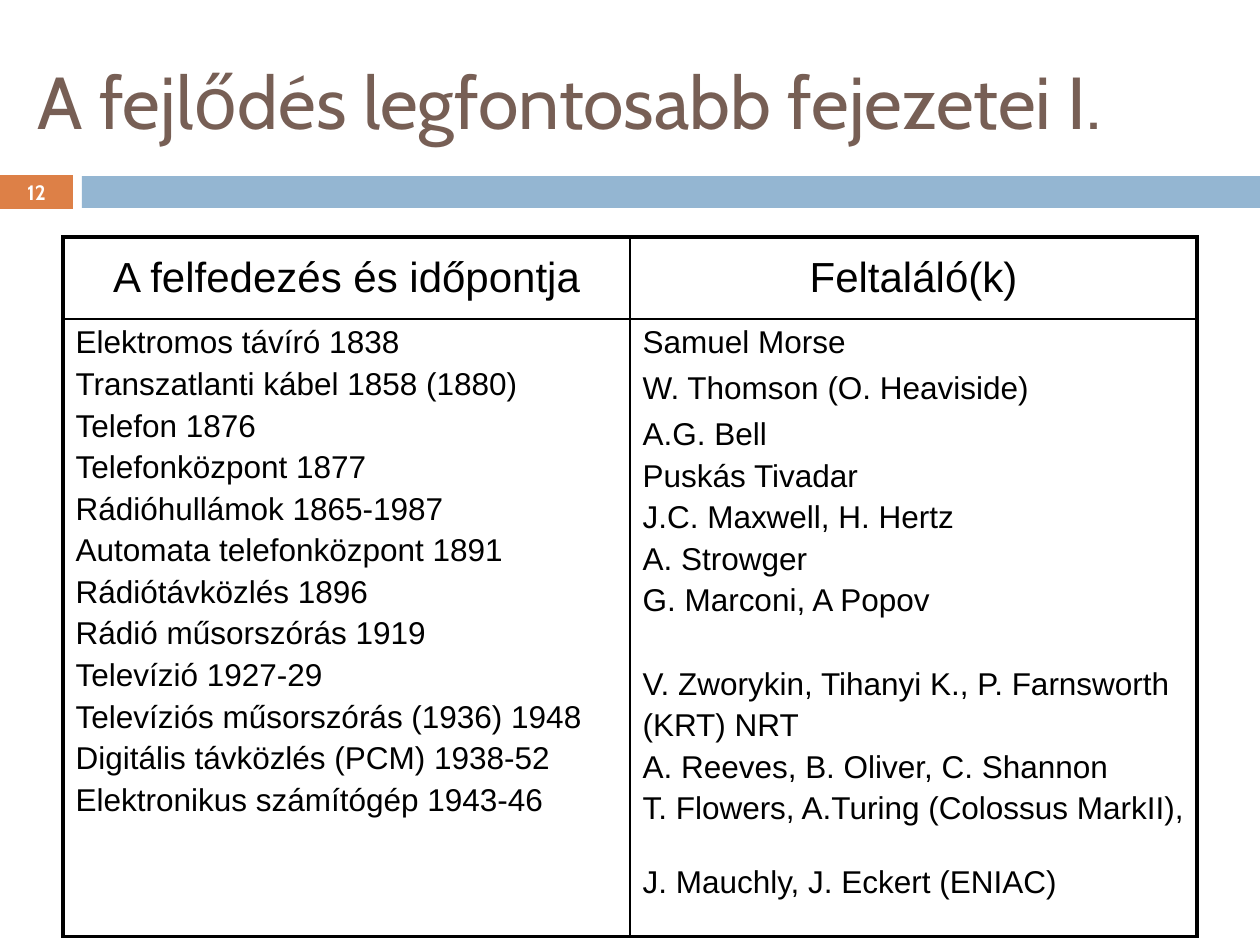
from dataclasses import dataclass

from lxml.etree import SubElement
from pptx import Presentation
from pptx.dml.color import RGBColor
from pptx.enum.shapes import MSO_SHAPE
from pptx.enum.text import MSO_ANCHOR, PP_ALIGN
from pptx.oxml.ns import qn
from pptx.util import Emu, Pt

EMU_PER_PX = 914400 / 126


@dataclass(frozen=True)
class Theme:
    title: str = "775F55"
    accent: str = "DD8047"
    band: str = "94B6D2"
    ink: str = "000000"
    white: str = "FFFFFF"
    heading_font: str = "Cabin"
    body_font: str = "Arial"
    title_size: float = 42
    number_size: float = 11.9
    header_size: float = 24
    body_size: float = 18
    outer_line: float = 2.25
    inner_line: float = 1


@dataclass(frozen=True)
class Box:
    left: int
    top: int
    width: int
    height: int

    def emu(self):
        return [px(v) for v in (self.left, self.top, self.width, self.height)]


@dataclass(frozen=True)
class TextStyle:
    font: str
    size: float
    color: str
    bold: bool = False
    align: PP_ALIGN = PP_ALIGN.LEFT


@dataclass(frozen=True)
class Entry:
    text: str
    space_before: float = 3.6


THEME = Theme()
TITLE_STYLE = TextStyle(THEME.heading_font, THEME.title_size, THEME.title)
NUMBER_STYLE = TextStyle(THEME.heading_font, THEME.number_size, THEME.white, True, PP_ALIGN.CENTER)
HEADER_STYLE = TextStyle(THEME.body_font, THEME.header_size, THEME.ink, align=PP_ALIGN.CENTER)
BODY_STYLE = TextStyle(THEME.body_font, THEME.body_size, THEME.ink)

TITLE_BOX = Box(25, 32, 1183, 136)
BAND_BOX = Box(82, 176, 1178, 32)
NUMBER_BOX = Box(0, 175, 73, 34)
TABLE_BOX = Box(63, 237, 1134, 666)
HEADER_HEIGHT = 82

HEADERS = [
    [Entry("A felfedezés és időpontja", 4.8)],
    [Entry("Feltaláló(k)", 4.8)],
]
DISCOVERIES = [
    Entry("Elektromos távíró 1838"),
    Entry("Transzatlanti kábel 1858 (1880)"),
    Entry("Telefon 1876"),
    Entry("Telefonközpont 1877"),
    Entry("Rádióhullámok 1865-1987"),
    Entry("Automata telefonközpont 1891"),
    Entry("Rádiótávközlés 1896"),
    Entry("Rádió műsorszórás 1919"),
    Entry("Televízió 1927-29"),
    Entry("Televíziós műsorszórás (1936) 1948"),
    Entry("Digitális távközlés (PCM) 1938-52"),
    Entry("Elektronikus számítógép 1943-46"),
]
INVENTORS = [
    Entry("Samuel Morse"),
    Entry("W. Thomson (O. Heaviside)", 6),
    Entry("A.G. Bell", 6),
    Entry("Puskás Tivadar"),
    Entry("J.C. Maxwell, H. Hertz"),
    Entry("A. Strowger"),
    Entry("G. Marconi, A Popov"),
    Entry("V. Zworykin, Tihanyi K., P. Farnsworth", 27.5),
    Entry("(KRT) NRT"),
    Entry("A. Reeves, B. Oliver, C. Shannon"),
    Entry("T. Flowers, A.Turing (Colossus MarkII), \nJ. Mauchly, J. Eckert (ENIAC)"),
]


def px(length: int) -> Emu:
    return Emu(round(length * EMU_PER_PX))


def write(frame, entries: list[Entry], style: TextStyle) -> None:
    """Fill a text frame with one paragraph per entry; a newline is a line break."""
    frame.word_wrap = True
    for index, entry in enumerate(entries):
        paragraph = frame.add_paragraph() if index else frame.paragraphs[0]
        paragraph.alignment = style.align
        paragraph.space_before = Pt(entry.space_before)
        for line_index, line in enumerate(entry.text.split("\n")):
            if line_index:
                paragraph.add_line_break()
            run = paragraph.add_run()
            run.text = line
            run.font.name = style.font
            run.font.size = Pt(style.size)
            run.font.bold = style.bold
            run.font.color.rgb = RGBColor.from_string(style.color)


def add_rectangle(slide, box: Box, color: str):
    rectangle = slide.shapes.add_shape(MSO_SHAPE.RECTANGLE, *box.emu())
    rectangle.shadow.inherit = False
    rectangle.fill.solid()
    rectangle.fill.fore_color.rgb = RGBColor.from_string(color)
    rectangle.line.fill.background()
    return rectangle


def set_borders(cell, widths: dict[str, float]) -> None:
    properties = cell._tc.get_or_add_tcPr()
    for index, (side, width) in enumerate(widths.items()):
        line = SubElement(properties, qn(f"a:ln{side}"), w=str(Pt(width)))
        SubElement(SubElement(line, qn("a:solidFill")), qn("a:srgbClr"), val=THEME.ink)
        properties.insert(index, line)


def add_inventions_table(slide) -> None:
    rows = [HEADERS, [DISCOVERIES, INVENTORS]]
    table = slide.shapes.add_table(2, 2, *TABLE_BOX.emu()).table
    table.first_row = table.horz_banding = False
    for column in table.columns:
        column.width = px(TABLE_BOX.width // 2)
    table.rows[0].height = px(HEADER_HEIGHT)
    table.rows[1].height = px(TABLE_BOX.height - HEADER_HEIGHT)
    outer, inner = THEME.outer_line, THEME.inner_line
    for r, row in enumerate(rows):
        for c, entries in enumerate(row):
            cell = table.cell(r, c)
            cell.fill.background()
            cell.vertical_anchor = MSO_ANCHOR.TOP if r else MSO_ANCHOR.MIDDLE
            write(cell.text_frame, entries, BODY_STYLE if r else HEADER_STYLE)
            set_borders(cell, {
                "L": inner if c else outer,
                "R": outer if c else inner,
                "T": inner if r else outer,
                "B": outer if r else inner,
            })


def main() -> None:
    presentation = Presentation()
    presentation.slide_width, presentation.slide_height = px(1260), px(945)
    slide = presentation.slides.add_slide(presentation.slide_layouts[6])

    add_rectangle(slide, BAND_BOX, THEME.band)
    title = slide.shapes.add_textbox(*TITLE_BOX.emu()).text_frame
    title.vertical_anchor = MSO_ANCHOR.MIDDLE
    write(title, [Entry("A fejlődés legfontosabb fejezetei I.", 0)], TITLE_STYLE)
    add_inventions_table(slide)
    page_number = add_rectangle(slide, NUMBER_BOX, THEME.accent).text_frame
    page_number.vertical_anchor = MSO_ANCHOR.MIDDLE
    write(page_number, [Entry("12", 0)], NUMBER_STYLE)

    presentation.save("out.pptx")


if __name__ == "__main__":
    main()
